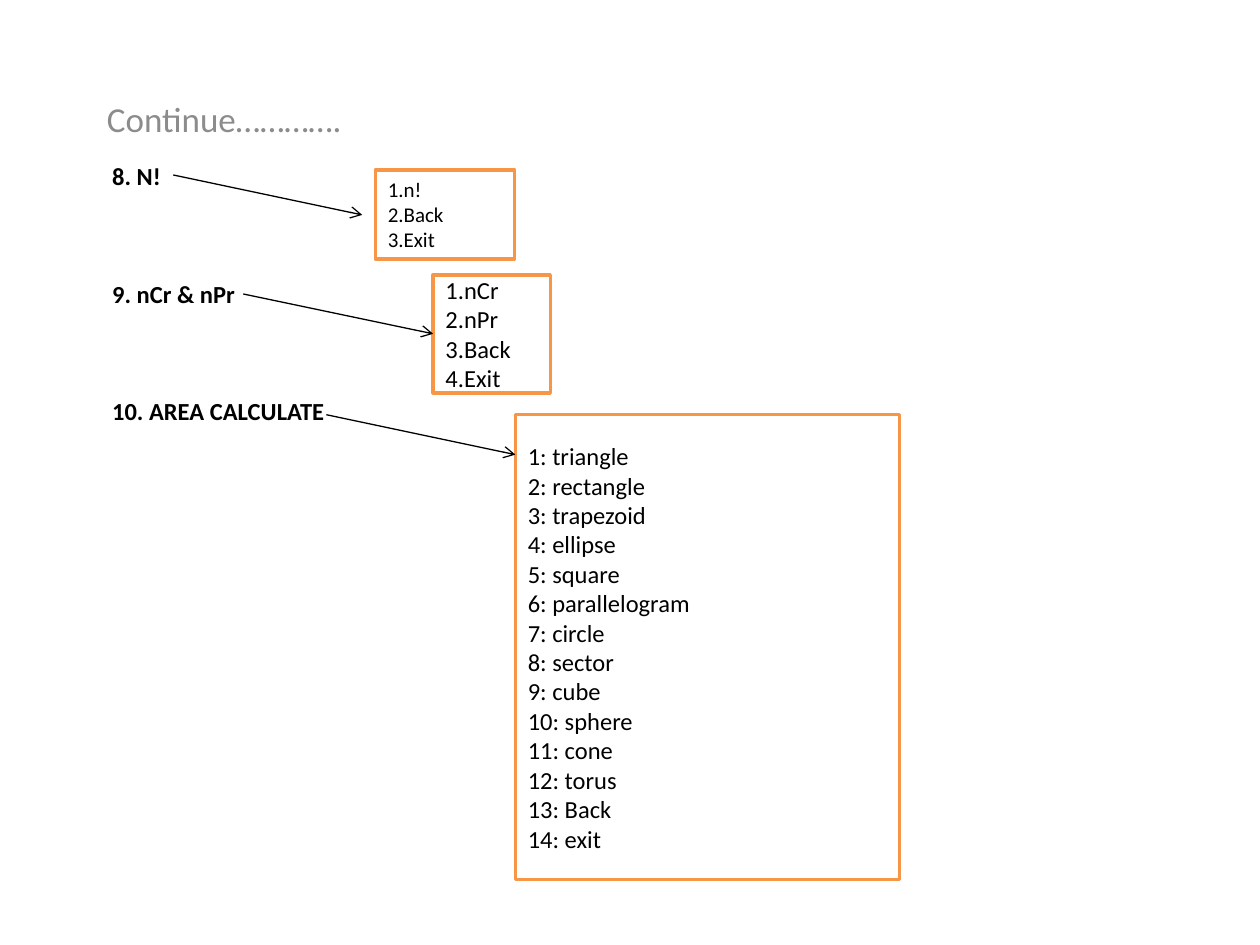
from dataclasses import dataclass

from lxml import etree
from pptx import Presentation
from pptx.dml.color import RGBColor
from pptx.enum.shapes import MSO_CONNECTOR, MSO_SHAPE
from pptx.enum.text import MSO_ANCHOR, PP_ALIGN
from pptx.oxml.ns import qn
from pptx.util import Pt

RECTANGLE = MSO_SHAPE.RECTANGLE
STRAIGHT = MSO_CONNECTOR.STRAIGHT
TOP, MIDDLE, BOTTOM = MSO_ANCHOR.TOP, MSO_ANCHOR.MIDDLE, MSO_ANCHOR.BOTTOM
LEFT = PP_ALIGN.LEFT

FONT = "Calibri"
BLACK, WHITE, GRAY, ORANGE = "000000", "FFFFFF", "8C8C8C", "F79646"
LEFT_SIDE = 1
ARROW_RUN, ARROW_DROP = 108, 22.8


@dataclass
class Menu:
    heading: str
    box: tuple[float, float, float, float]
    size: float
    options: list[str]
    arrow_start: tuple[float, float]
    joined: bool = False


AREA_SHAPES = ["triangle", "rectangle", "trapezoid", "ellipse", "square",
               "parallelogram", "circle", "sector", "cube", "sphere",
               "cone", "torus", "Back", "exit"]

MENUS = [
    Menu("8. N!", (214.5, 97, 79.5, 51), 12,
         ["1.n!", "2.Back", "3.Exit"], (99, 100)),
    Menu("9. nCr & nPr", (247.5, 157, 67, 67.5), 14,
         ["1.nCr", "2.nPr", "3.Back", "4.Exit"], (139, 168), joined=True),
    Menu("10. AREA CALCULATE", (294.5, 237, 219.5, 265.5), 14,
         [f"{number}: {name}" for number, name in enumerate(AREA_SHAPES, 1)],
         (186.5, 237)),
]


def color(value: str) -> RGBColor:
    return RGBColor.from_string(value)


def write_text(shape, lines: list[str], size: float, anchor, text_color: str = BLACK,
               bold: bool = False, gap: float = 0) -> None:
    frame = shape.text_frame
    frame.word_wrap = True
    frame.vertical_anchor = anchor
    for index, line in enumerate(lines):
        paragraph = frame.paragraphs[0] if index == 0 else frame.add_paragraph()
        paragraph.alignment = LEFT
        if index:
            paragraph.space_before = Pt(gap)
        run = paragraph.add_run()
        run.text = line
        run.font.name = FONT
        run.font.size = Pt(size)
        run.font.bold = bold
        run.font.color.rgb = color(text_color)


def add_text_box(slide, left: float, top: float, width: float, height: float):
    return slide.shapes.add_textbox(Pt(left), Pt(top), Pt(width), Pt(height))


def add_menu_box(slide, menu: Menu):
    shape = slide.shapes.add_shape(RECTANGLE, *map(Pt, menu.box))
    shape.shadow.inherit = False
    shape.fill.solid()
    shape.fill.fore_color.rgb = color(WHITE)
    shape.line.color.rgb = color(ORANGE)
    shape.line.width = Pt(2)
    write_text(shape, menu.options, menu.size, MIDDLE)
    return shape


def add_arrow(slide, menu: Menu, box) -> None:
    x, y = menu.arrow_start
    connector = slide.shapes.add_connector(
        STRAIGHT, Pt(x), Pt(y), Pt(x + ARROW_RUN), Pt(y + ARROW_DROP))
    if menu.joined:
        connector.end_connect(box, LEFT_SIDE)
    connector.line.color.rgb = color(BLACK)
    connector.line.width = Pt(0.75)
    line = connector.line._get_or_add_ln()
    etree.SubElement(line, qn("a:tailEnd"), type="arrow")
    etree.SubElement(connector._element.spPr, qn("a:effectLst"))


def main() -> None:
    presentation = Presentation()
    presentation.slide_width, presentation.slide_height = Pt(720), Pt(540)
    slide = presentation.slides.add_slide(presentation.slide_layouts[6])

    # Menu headings, three blank lines' worth of space apart
    headings = add_text_box(slide, 57, 88.5, 612, 366)
    write_text(headings, [menu.heading for menu in MENUS], 14, TOP,
               bold=True, gap=50.4)

    # Slide caption
    caption = add_text_box(slide, 54, 49, 612, 34)
    write_text(caption, ["Continue…………."], 20, BOTTOM, GRAY)

    # Option boxes with the arrows leading to them
    for menu in MENUS:
        box = add_menu_box(slide, menu)
        add_arrow(slide, menu, box)

    presentation.save("out.pptx")


if __name__ == "__main__":
    main()
